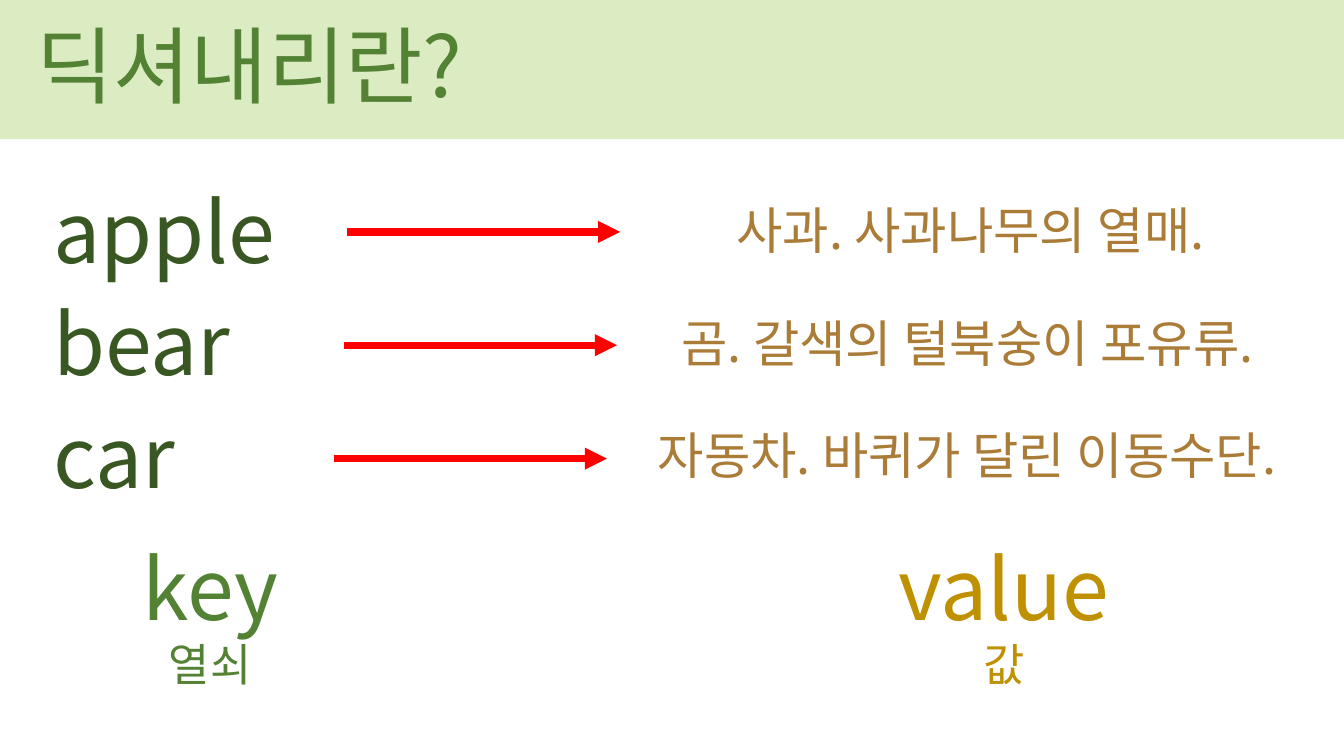
"""Build a slide that explains dictionaries as keys pointing to values."""
from lxml import etree
from pptx import Presentation
from pptx import util as u
from pptx.dml.color import RGBColor
from pptx.enum import shapes, text
from pptx.oxml.ns import qn

TITLE = "딕셔내리란?"
ENTRIES = [
    ("apple", "사과. 사과나무의 열매.", 5.07, 3.44),
    ("bear", "곰. 갈색의 털북숭이 포유류.", 6.16, 3.41),
    ("car", "자동차. 바퀴가 달린 이동수단.", 6.63, 3.31),
]

FONT = "Noto Sans CJK KR"
BAND = RGBColor(0xDC, 0xEC, 0xC2)
GREEN = RGBColor(0x54, 0x82, 0x35)
DARK_GREEN = RGBColor(0x38, 0x57, 0x23)
BROWN = RGBColor(0xAA, 0x7C, 0x38)
GOLD = RGBColor(0xBF, 0x90, 0x00)
RED = RGBColor(0xFF, 0x00, 0x00)

LABELS = [("key", "열쇠", 0.86, GREEN), ("value", "값", 8.73, GOLD)]

WIDTH, HEIGHT = 13.33, 7.5
FIRST_ROW, ROW_HEIGHT = 1.73, 1.115
ARROW_TOP, ARROW_PITCH, ARROW_LENGTH = 2.3, 1.125, 2.71
MEANING_CENTER = 9.74


def inches(*lengths):
    return [u.Inches(length) for length in lengths]


def write(shape, lines, color, align=text.PP_ALIGN.LEFT, wrap=True):
    frame = shape.text_frame
    frame.text = "\n".join(line for line, size in lines)
    frame.word_wrap = wrap
    frame.auto_size = text.MSO_AUTO_SIZE.SHAPE_TO_FIT_TEXT
    frame.vertical_anchor = text.MSO_ANCHOR.TOP
    for paragraph, (line, size) in zip(frame.paragraphs, lines):
        paragraph.alignment = align
        font = paragraph.font
        font.size = u.Pt(size)
        font.name = FONT
        font.color.rgb = color
        properties = paragraph._p.pPr.find(qn("a:defRPr"))
        etree.SubElement(properties, qn("a:ea"), typeface=FONT)


def add_text(slide, box, *args, **options):
    write(slide.shapes.add_textbox(*inches(*box)), *args, **options)


def add_arrow(slide, left, top):
    ends = inches(left, top, left + ARROW_LENGTH, top)
    arrow = slide.shapes.add_connector(shapes.MSO_CONNECTOR.STRAIGHT, *ends)
    arrow.line.color.rgb = RED
    arrow.line.width = u.Pt(5.25)
    etree.SubElement(arrow.line._get_or_add_ln(), qn("a:tailEnd"), type="triangle")
    etree.SubElement(arrow._element.spPr, qn("a:effectLst"))


def add_header(slide):
    band = slide.shapes.add_shape(
        shapes.MSO_SHAPE.RECTANGLE, *inches(0, 0, WIDTH, 1.38))
    band.shadow.inherit = False
    band.fill.solid()
    band.fill.fore_color.rgb = BAND
    band.line.fill.background()
    title = slide.shapes.title
    title._element.addprevious(band._element)
    title.left, title.top, title.width, title.height = inches(0.26, 0.08, 12.15, 1.11)
    write(title, [(TITLE, 60)], GREEN)


def main():
    presentation = Presentation()
    presentation.slide_width, presentation.slide_height = inches(WIDTH, HEIGHT)
    slide = presentation.slides.add_slide(presentation.slide_layouts[5])
    add_header(slide)
    for row, (word, meaning, width, arrow_left) in enumerate(ENTRIES):
        top = FIRST_ROW + row * ROW_HEIGHT
        add_text(slide, (0.43, top, 6.43, 1.11), [(word, 60)], DARK_GREEN)
        add_text(slide, (MEANING_CENTER - width / 2, top + 0.2, width, 0.71),
                 [(meaning, 36)], BROWN, wrap=False)
        add_arrow(slide, arrow_left, ARROW_TOP + row * ARROW_PITCH)
    for name, translation, left, color in LABELS:
        add_text(slide, (left, 5.27, 2.45, 1.65), [(name, 60), (translation, 32)],
                 color, align=text.PP_ALIGN.CENTER)
    presentation.save("out.pptx")


if __name__ == "__main__":
    main()
